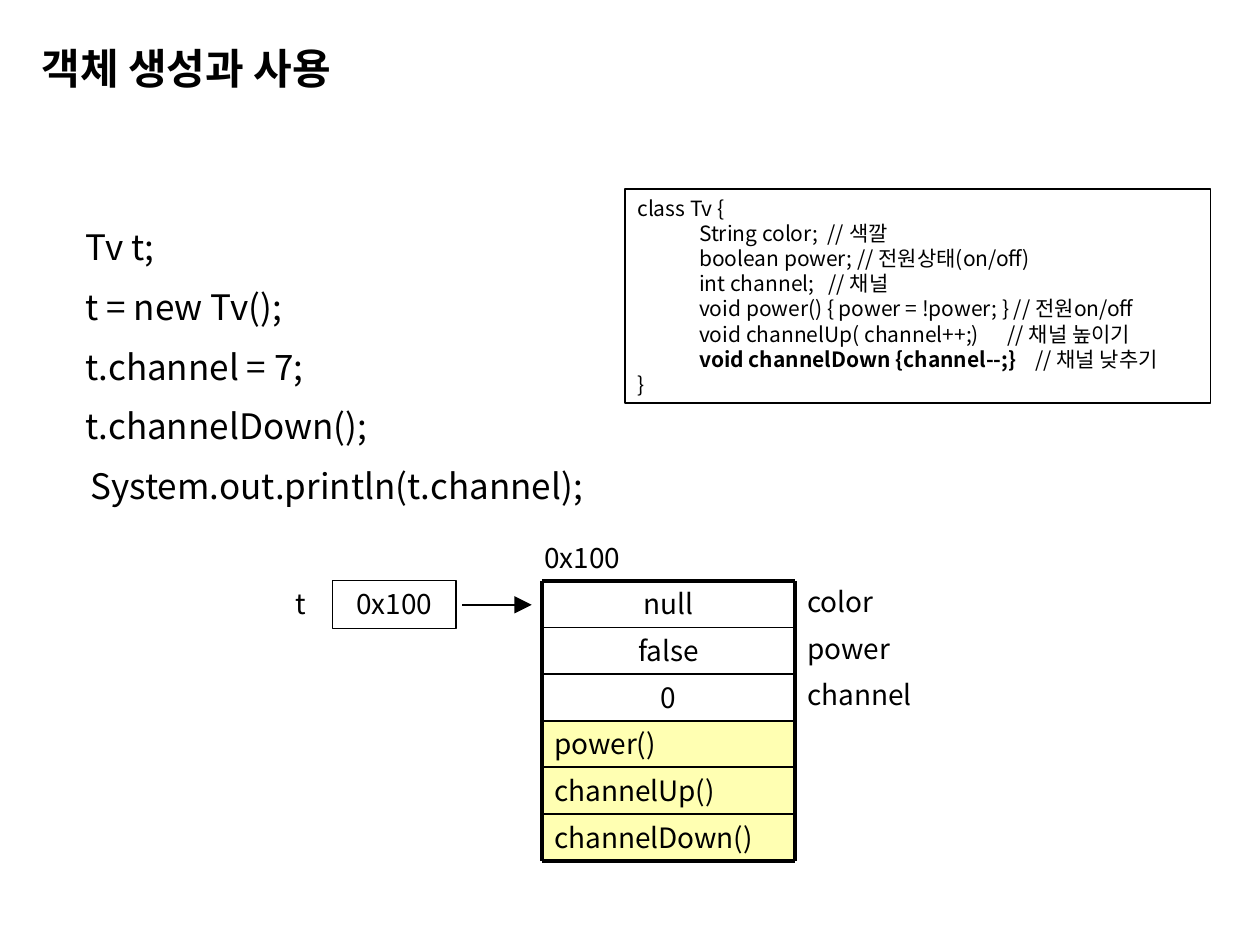
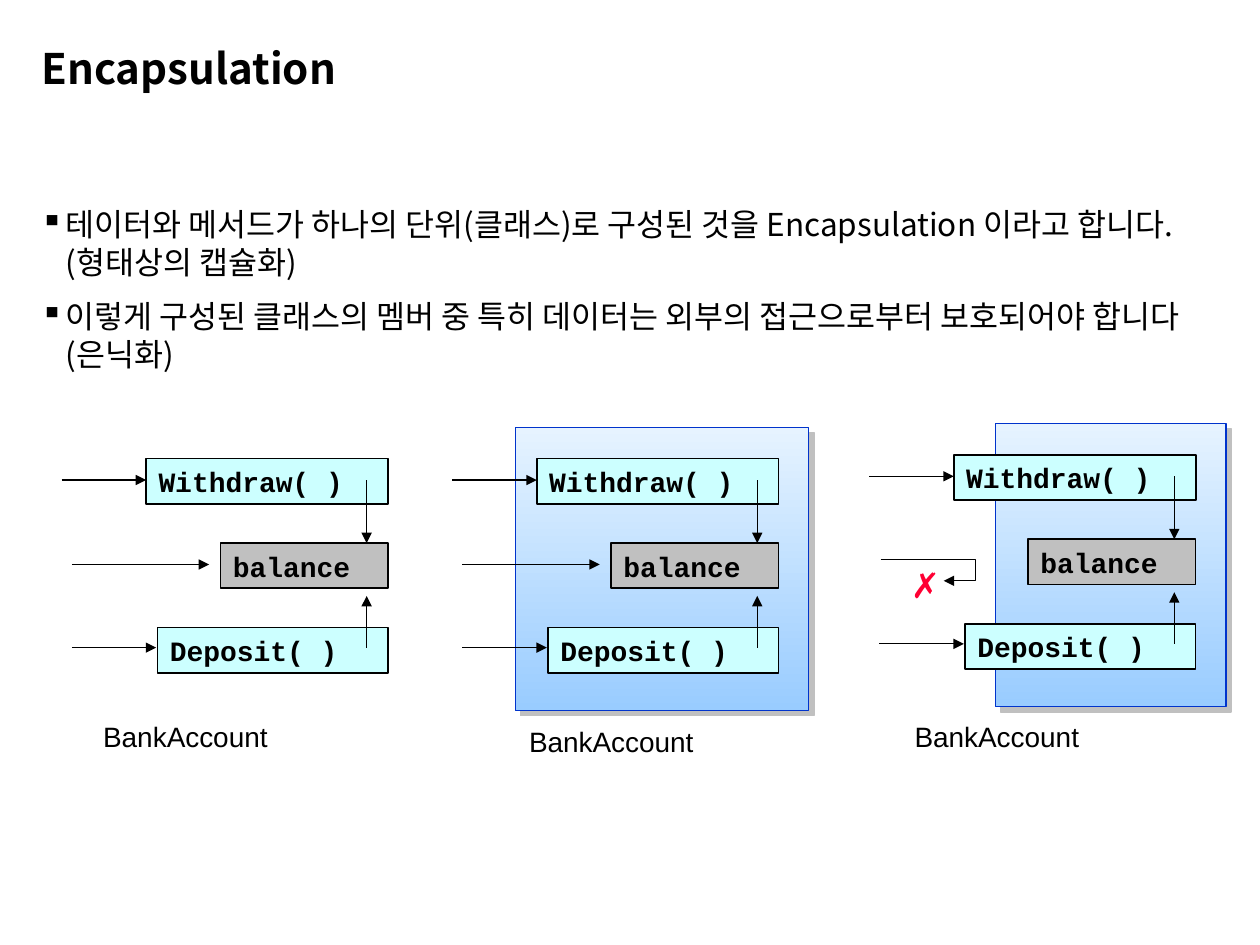
from lxml import etree
from pptx import Presentation
from pptx.dml.color import RGBColor
from pptx.enum import shapes, text
from pptx.oxml.ns import qn
from pptx.util import Inches, Pt

COLORS = {
    "ink": "000000", "method": "FFFF66", "call": "CCFFFF", "data": "C0C0C0",
    "panel_top": "E6F3FF", "panel_bottom": "99CCFF", "panel_line": "0033CC",
    "shadow": "C0C0C0", "denied": "FF0033",
}
SANS, MONO, LABEL = "Noto Sans CJK KR", "Courier New", "Arial"
LEFT, CENTER = text.PP_ALIGN.LEFT, text.PP_ALIGN.CENTER


def rgb(name):
    return RGBColor.from_string(COLORS[name])


def add_xml(parent, tag, **attributes):
    return etree.SubElement(parent, qn(tag), {k: str(v) for k, v in attributes.items()})


def style_run(run, size, font=SANS, color="ink", bold=False):
    run.font.name, run.font.size, run.font.bold = font, Pt(size), bold
    run.font.color.rgb = rgb(color)
    add_xml(run.font._element, "a:ea", typeface=font)


def write(shape, lines, size, align=LEFT, insets=(0.1, 0.05), wrap=True, **style):
    frame = shape.text_frame
    frame.word_wrap = wrap
    frame.vertical_anchor = text.MSO_ANCHOR.TOP
    frame.margin_left = frame.margin_right = Inches(insets[0])
    frame.margin_top = frame.margin_bottom = Inches(insets[1])
    frame.text = lines
    for paragraph in frame.paragraphs:
        paragraph.alignment = align
        for run in paragraph.runs:
            style_run(run, size, **style)
    return frame


def add_text(slide, left, top, width, height, lines, size, **style):
    box = slide.shapes.add_textbox(Inches(left), Inches(top), Inches(width), Inches(height))
    return write(box, lines, size, **style)


def add_box(slide, left, top, width, height, fill=None, line=None, line_width=0.75):
    shape = slide.shapes.add_shape(shapes.MSO_SHAPE.RECTANGLE, Inches(left), Inches(top),
                                   Inches(width), Inches(height))
    shape.shadow.inherit = False
    if fill:
        shape.fill.solid()
        shape.fill.fore_color.rgb = rgb(fill)
    else:
        shape.fill.background()
    if line:
        shape.line.color.rgb = rgb(line)
        shape.line.width = Pt(line_width)
    else:
        shape.line.fill.background()
    return shape


def add_line(slide, start, end, width=0.75, head=None, kind=shapes.MSO_CONNECTOR.STRAIGHT):
    line = slide.shapes.add_connector(kind, *(Inches(v) for v in (*start, *end)))
    line.line.color.rgb = rgb("ink")
    line.line.width = Pt(width)
    if head:
        add_xml(line.line._get_or_add_ln(), "a:tailEnd", type="triangle", w=head, len=head)
    add_xml(line._element.spPr, "a:effectLst")
    return line


def indent(paragraph, hanging):
    properties = paragraph._p.get_or_add_pPr()
    properties.set("marL", str(Inches(hanging)))
    properties.set("indent", str(-Inches(hanging)))
    return properties


def add_title(slide, title):
    frame = add_text(slide, 0.33, 0.33, 9.32, 0.49, title, 24, insets=(0, 0.05), bold=True)
    frame.paragraphs[0].line_spacing = 0.9


# Slide 1: object creation and use

def add_statements(slide, left, top):
    statements = ["Tv t;", "t = new Tv();", "t.channel = 7;", "t.channelDown();"]
    for row, statement in enumerate(statements):
        add_text(slide, left, top + 0.475 * row, 3.1, 0.44, statement, 20)
    add_text(slide, left + 0.04, top + 1.9, 5.59, 0.44, "System.out.println(t.channel);", 20)


def add_class_listing(slide, left, top, width, height):
    lines = [
        "class Tv {",
        "\tString color;  // 색깔",
        "\tboolean power; // 전원상태(on/off)",
        "\tint channel;   // 채널",
        "\tvoid power() { power = !power; } // 전원on/off",
        "\tvoid channelUp( channel++;)      // 채널 높이기",
        "\t",
        "}",
    ]
    box = add_box(slide, left, top, width, height, line="ink")
    frame = write(box, "\n".join(lines), 12)
    for paragraph in frame.paragraphs:
        tabs = add_xml(indent(paragraph, 0.49), "a:tabLst")
        add_xml(tabs, "a:tab", pos=0, algn="l")
    channel_down = frame.paragraphs[6]
    for part, bold in (("void channelDown {channel--;}", True), ("    // 채널 낮추기", False)):
        run = channel_down.add_run()
        run.text = part
        style_run(run, 12, bold=bold)


def add_reference(slide, left, top):
    add_box(slide, left, top, 0.98, 0.38, line="ink")
    add_text(slide, left - 0.39, top, 0.4, 0.37, "t", 16)
    add_text(slide, left - 0.05, top, 1.08, 0.37, "0x100", 16, align=CENTER)
    add_line(slide, (left + 1.03, top + 0.19), (left + 1.58, top + 0.19), 1, head="lg")


def add_instance(slide, left, top, width, row_height):
    fields = [("null", "color"), ("false", "power"), ("0", "channel")]
    methods = ["power()", "channelUp()", "channelDown()"]
    add_text(slide, left - 0.08, top - row_height, 1.02, 0.37, "0x100", 16)
    for row, (value, name) in enumerate(fields):
        y = top + row * row_height
        add_text(slide, left, y, width, row_height, value, 16, align=CENTER)
        add_text(slide, left + width, y - 0.02, 1.26, 0.37, name, 16)
    for row, method in enumerate(methods, len(fields)):
        cell = add_box(slide, left, top + row * row_height, width, row_height, "method")
        add_xml(cell._element.spPr.find(".//" + qn("a:srgbClr")), "a:alpha", val=50000)
        write(cell, method, 16)
    # Rules between the rows and the heavy frame
    rows = len(fields) + len(methods)
    right, bottom = left + width, top + rows * row_height
    for row in range(rows + 1):
        y = top + row * row_height
        add_line(slide, (left, y), (right, y), 2.25 if row in (0, rows) else 1)
    for x in (left, right):
        add_line(slide, (x, top), (x, bottom), 2.25)


def build_object_slide(slide):
    add_title(slide, "객체 생성과 사용")
    add_statements(slide, 0.58, 1.74)
    add_class_listing(slide, 4.96, 1.5, 4.65, 1.7)
    add_reference(slide, 2.64, 4.61)
    add_instance(slide, 4.3, 4.61, 2.01, 0.37)


# Slide 2: encapsulation

def add_bullets(slide, left, top, width, height):
    points = [
        "테이터와 메서드가 하나의 단위(클래스)로 구성된 것을 Encapsulation 이라고 합니다. (형태상의 캡슐화)",
        "이렇게 구성된 클래스의 멤버 중 특히 데이터는 외부의 접근으로부터 보호되어야 합니다 (은닉화)",
    ]
    frame = add_text(slide, left, top, width, height, "\n".join(points), 18, insets=(0, 0))
    for paragraph in frame.paragraphs:
        properties = indent(paragraph, 0.2)
        add_xml(add_xml(properties, "a:buClr"), "a:srgbClr", val=COLORS["ink"])
        add_xml(properties, "a:buChar", char="▪")
        paragraph.space_after = Pt(9)


def add_panel(slide, left, top, width, height):
    panel = add_box(slide, left, top, width, height, line="panel_line")
    panel.fill.gradient()
    panel.fill.gradient_angle = 270
    for stop, color in zip(panel.fill.gradient_stops, ("panel_top", "panel_bottom")):
        stop.color.rgb = rgb(color)
    effects = panel._element.spPr.find(qn("a:effectLst"))
    shadow = add_xml(effects, "a:outerShdw", dist=Pt(4.2), dir=45 * 60000)
    add_xml(shadow, "a:srgbClr", val=COLORS["shadow"])


def add_denied_access(slide, left, top):
    bend = add_line(slide, (left, top), (left + 0.5, top + 0.17), head="med",
                    kind=shapes.MSO_CONNECTOR.ELBOW)
    guides = bend._element.spPr.find(".//" + qn("a:avLst"))
    add_xml(guides, "a:gd", name="adj1", fmla="val 150000")
    add_text(slide, left + 0.14, top - 0.02, 0.39, 0.43, "✗", 20,
             wrap=False, font=LABEL, color="denied")


def add_account(slide, left, top, label_at, data_is_open=True):
    right = left + 2.59
    members = [("Withdraw( )", 1.92, "call"), ("balance", 1.33, "data"), ("Deposit( )", 1.83, "call")]
    for row, (name, width, fill) in enumerate(members):
        box = add_box(slide, right - width, top + 0.67 * row, width, 0.36, fill, "ink", 1)
        write(box, name, 16, font=MONO, bold=True)
    # Arrows from outside, then from each method to the data
    arrows = [((0, 0.17), (0.67, 0.17)), ((0.08, 1.5), (0.75, 1.5)),
              ((2.42, 0.17), (2.42, 0.67)), ((2.42, 1.5), (2.42, 1.09))]
    if data_is_open:
        arrows.append(((0.08, 0.84), (1.17, 0.84)))
    else:
        add_denied_access(slide, left + 0.09, top + 0.83)
    for (x1, y1), (x2, y2) in arrows:
        add_line(slide, (left + x1, top + y1), (left + x2, top + y2), head="med")
    add_text(slide, *label_at, 1.61, 0.37, "BankAccount", 16, font=LABEL)


def build_encapsulation_slide(slide):
    add_title(slide, "Encapsulation")
    add_bullets(slide, 0.32, 1.63, 9.32, 5.31)
    add_account(slide, 0.49, 3.64, (0.72, 5.66))
    add_panel(slide, 4.09, 3.39, 2.33, 2.25)
    add_account(slide, 3.59, 3.64, (4.1, 5.7))
    add_panel(slide, 7.9, 3.36, 1.83, 2.25)
    add_account(slide, 6.9, 3.61, (7.16, 5.66), data_is_open=False)


def main():
    presentation = Presentation()
    presentation.slide_width, presentation.slide_height = Inches(10), Inches(7.5)
    for build in (build_object_slide, build_encapsulation_slide):
        build(presentation.slides.add_slide(presentation.slide_layouts[6]))
    presentation.save("out.pptx")


if __name__ == "__main__":
    main()
